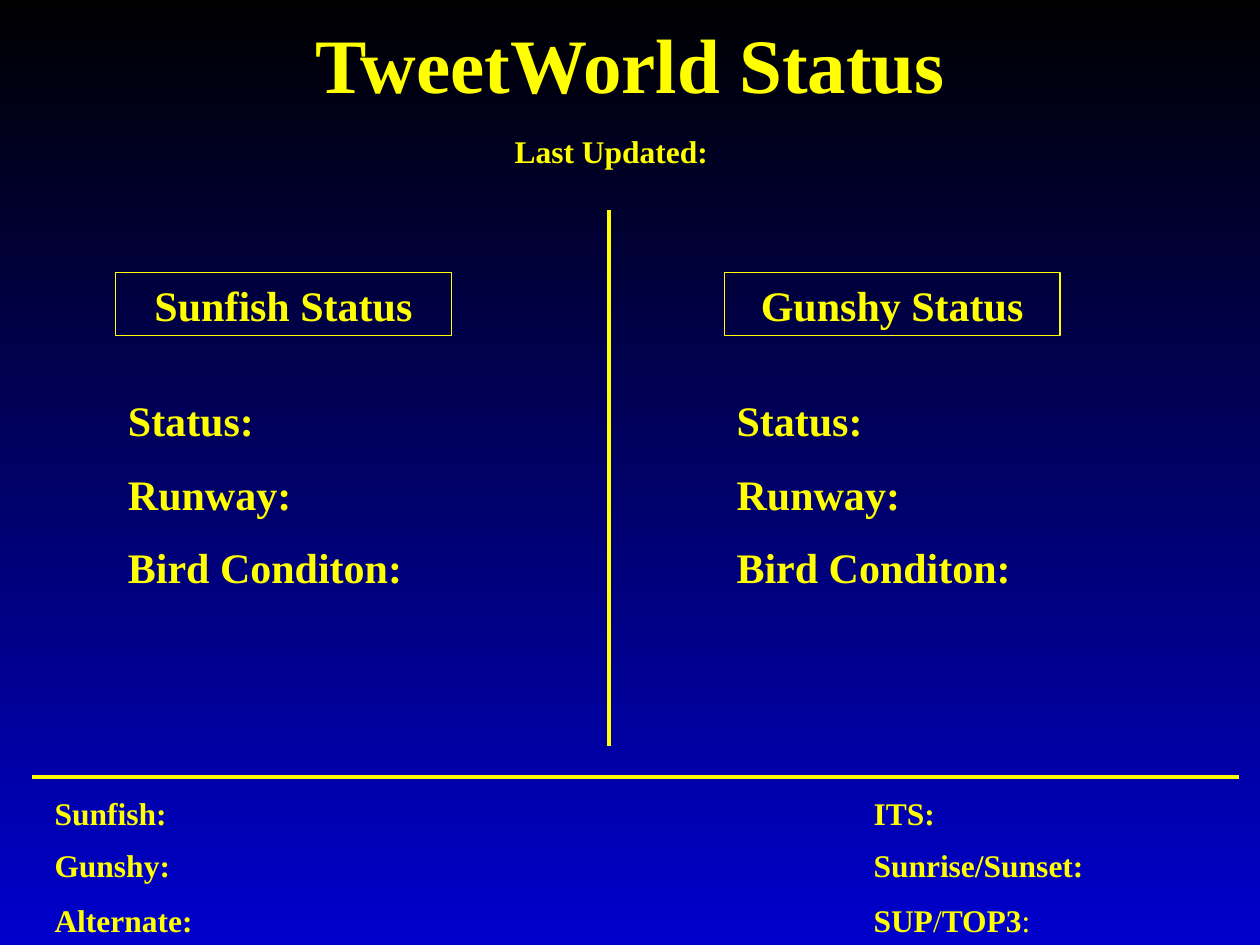
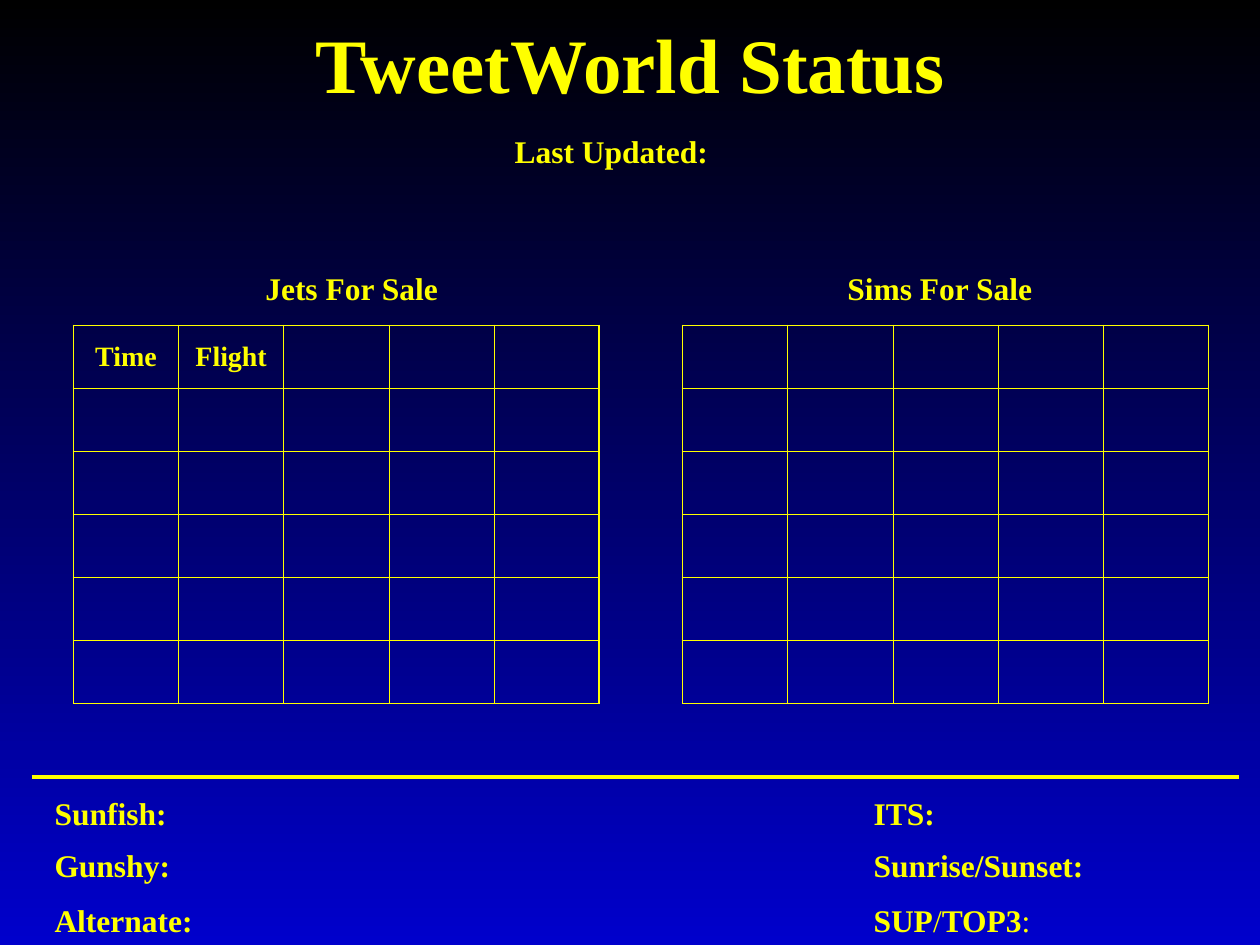
from lxml import etree
from pptx import Presentation
from pptx import util as u
from pptx.dml.color import RGBColor
from pptx.enum import shapes, text
from pptx.oxml import ns

YELLOW = RGBColor(0xFF, 0xFF, 0x00)
BLACK = RGBColor(0x00, 0x00, 0x00)
BLUE = RGBColor(0x00, 0x00, 0xCC)
FONT = "Times New Roman"
LEFT, CENTER = text.PP_ALIGN.LEFT, text.PP_ALIGN.CENTER


def write(tf, pieces, size, align=LEFT):
    """Write one paragraph whose pieces alternate between bold and regular."""
    tf.word_wrap = True
    p = tf.paragraphs[0]
    p.alignment = align
    for i, piece in enumerate(pieces):
        r = p.add_run()
        r.text = piece
        r.font.color.rgb = YELLOW
        style = {"name": FONT, "size": u.Pt(size), "bold": i % 2 == 0}
        for key, value in style.items():
            setattr(r.font, key, value)


def add_line(s, *ends):
    """Draw a yellow rule; ends are x1, y1, x2, y2 in centimetres."""
    ln = s.shapes.add_connector(shapes.MSO_CONNECTOR.STRAIGHT, *map(u.Cm, ends))
    ln.line.color.rgb = YELLOW
    ln.line.width = u.Pt(2)
    etree.SubElement(ln._element.spPr, ns.qn("a:effectLst"))


prs = Presentation()
prs.slide_width, prs.slide_height = u.Cm(25.4), u.Cm(19.05)

# Shared background: black at the top to blue at the bottom
fill = prs.slide_master.background.fill
fill.gradient()
fill.gradient_angle = 270
for stop, color, position in zip(fill.gradient_stops, (BLACK, BLUE), (0, 1)):
    stop.color.rgb = color
    stop.position = position

# Shared header and footer: left, top, width, height, pieces, size, alignment
footer_tops = (15.88, 16.93, 18.03)
frame = [(3.39, 0.21, 18.63, 2.13, ["TweetWorld Status"], 44, CENTER),
         (6.3, 2.54, 12.05, 1.02, ["Last Updated:"], 18, CENTER)]
for left, width, labels in (
        (0.85, 3.6, (["Sunfish:"], ["Gunshy:"], ["Alternate:"])),
        (17.36, 5.3, (["ITS:"], ["Sunrise/Sunset:"], ["SUP", "/", "TOP3", ":"]))):
    for top, pieces in zip(footer_tops, labels):
        frame.append((left, top, width, 1.02, pieces, 18, LEFT))

# Own text of each slide
column_lefts = (2.33, 14.6)
status_texts = [(left, 7.83 + 1.48 * i, 6.56, 1.27, [label], 24, LEFT)
                for left in column_lefts
                for i, label in enumerate(("Status:", "Runway:", "Bird Conditon:"))]
sale_texts = [(5.06, 5.29, 4.06, 1.02, ["Jets For Sale"], 18, CENTER),
              (16.72, 5.29, 4.45, 1.02, ["Sims For Sale"], 18, CENTER)]

slides = []
for own_texts in (status_texts, sale_texts):
    s = prs.slides.add_slide(prs.slide_layouts[6])
    slides.append(s)
    add_line(s, 0.64, 15.66, 24.98, 15.66)
    for left, top, width, height, pieces, size, align in frame + own_texts:
        sp = s.shapes.add_textbox(*map(u.Cm, (left, top, width, height)))
        write(sp.text_frame, pieces, size, align)
status, sales = slides

# Slide 1: divider and boxed headings
add_line(status, 12.28, 4.23, 12.28, 15.03)
for left, heading in zip(column_lefts, ("Sunfish Status", "Gunshy Status")):
    sp = status.shapes.add_shape(shapes.MSO_SHAPE.RECTANGLE, u.Cm(left), u.Cm(5.5),
                                 u.Cm(6.77), u.Cm(1.27))
    sp.shadow.inherit = False
    sp.fill.background()
    sp.line.color.rgb = YELLOW
    sp.line.width = u.Pt(0.75)
    sp.text_frame.vertical_anchor = text.MSO_ANCHOR.MIDDLE
    write(sp.text_frame, [heading], 24, CENTER)

# Slide 2: tables with a heavier outer border
ROWS, COLS, ROW_H, COL_W = 6, 5, 1.27, 2.12
for left, headers in ((1.48, ("Time", "Flight")), (13.76, ())):
    tbl = sales.shapes.add_table(ROWS, COLS, u.Cm(left), u.Cm(6.56),
                                 u.Cm(COLS * COL_W), u.Cm(ROWS * ROW_H)).table
    tbl.first_row = tbl.horz_banding = False
    for row in range(ROWS):
        for col in range(COLS):
            cell = tbl.cell(row, col)
            cell.vertical_anchor = text.MSO_ANCHOR.MIDDLE
            outer = {"L": col == 0, "R": col == COLS - 1,
                     "T": row == 0, "B": row == ROWS - 1}
            for side, is_outer in outer.items():
                ln = etree.SubElement(cell._tc.get_or_add_tcPr(), ns.qn("a:ln" + side),
                                      w=str(u.Pt(1.08 if is_outer else 0.45)))
                solid = etree.SubElement(ln, ns.qn("a:solidFill"))
                etree.SubElement(solid, ns.qn("a:srgbClr"), val=str(YELLOW))
            cell.fill.background()
    for col, header in enumerate(headers):
        write(tbl.cell(0, col).text_frame, [header], 16, CENTER)

prs.save("out.pptx")
